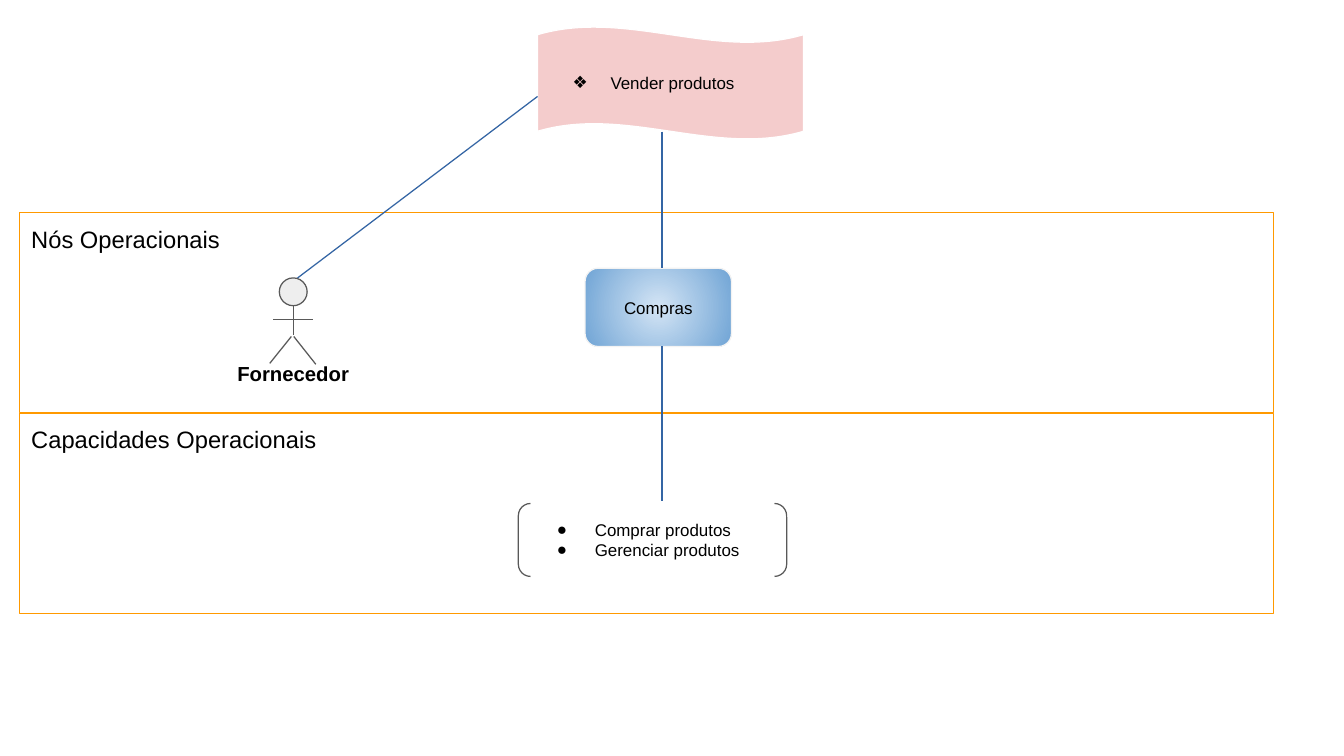
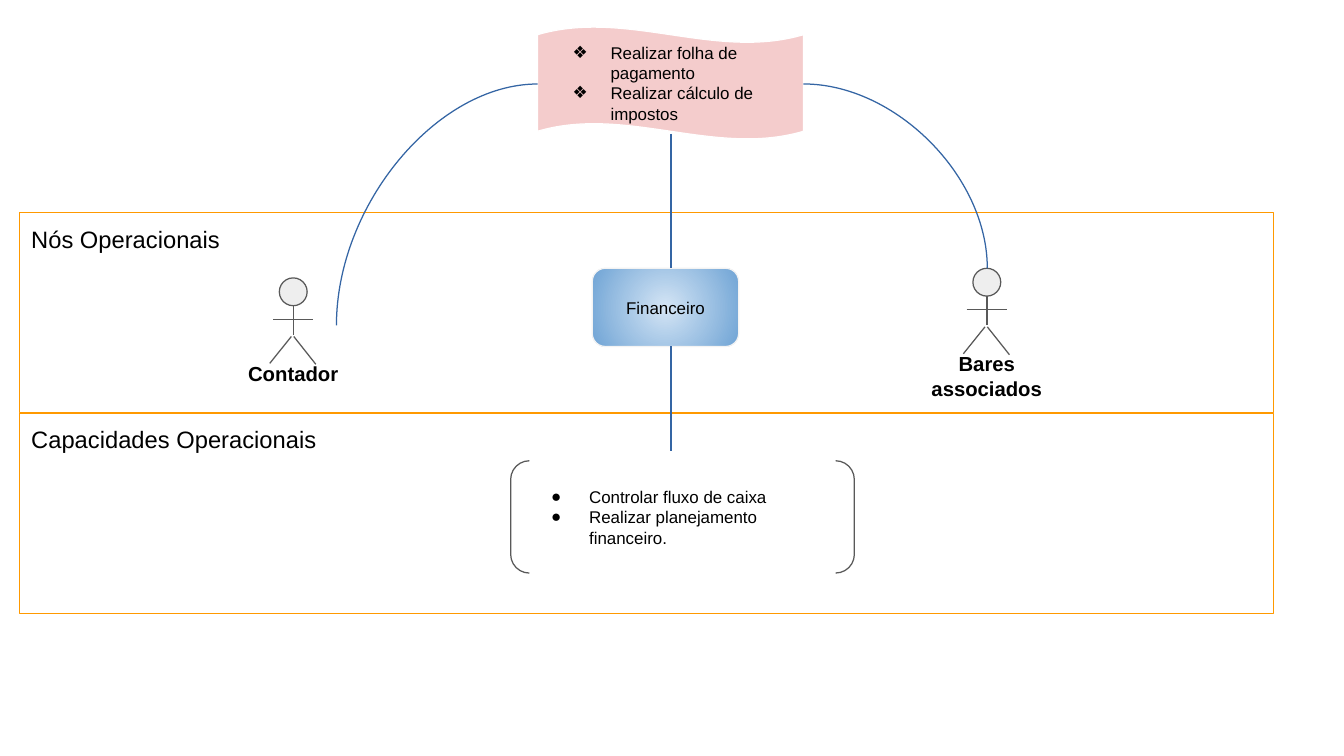
from lxml.etree import SubElement
from pptx import Presentation
from pptx.dml.color import RGBColor
from pptx.enum.shapes import MSO_CONNECTOR, MSO_SHAPE
from pptx.enum.text import MSO_ANCHOR, PP_ALIGN
from pptx.oxml.ns import qn
from pptx.util import Cm, Pt

FONT = "Arial"
BLACK = "000000"
ORANGE = "FF9900"
PINK = "F4CCCC"
WHITE = "FFFFFF"
GREY = "595959"
LIGHT_GREY = "EEEEEE"
NODE_EDGE = "F3F3F3"
NODE_CENTRE = "D4E5F5"
NODE_RIM = "70A4D5"
BLUE = "3465A4"

LANES = ["Nós Operacionais", "Capacidades Operacionais"]
LANE_TOP, LANE_PITCH = 4.43, 4.18
NODE_TOP, NODE_W, NODE_H = 5.59, 3.05, 1.63

# Stick figure, measured from the top left of the head
HEAD = 0.58
LIMBS = [
    (0.29, 0.58, 0.29, 1.19),
    (-0.13, 0.86, 0.71, 0.86),
    (0.25, 1.22, -0.2, 1.78),
    (0.3, 1.22, 0.76, 1.8),
]

SLIDES = [
    {
        "goals": ["Vender produtos"],
        "node": ("Compras", 12.19),
        "capabilities": ["Comprar produtos", "Gerenciar produtos"],
        "bracket": (10.8, 10.49, 5.59, 1.52),
        "actors": [("Fornecedor", 5.82, 5.79)],
        "links": [
            (6.2, 5.79, 11.2, 2.01),
            (13.79, 2.74, 13.79, 5.59),
            (13.79, 7.21, 13.79, 10.44),
        ],
        "curves": [],
    },
    {
        "goals": ["Realizar folha de pagamento", "Realizar cálculo de impostos"],
        "node": ("Financeiro", 12.34),
        "capabilities": ["Controlar fluxo de caixa", "Realizar planejamento financeiro."],
        "bracket": (10.64, 9.6, 7.16, 2.34),
        "actors": [("Contador", 5.82, 5.79), ("Bares associados", 20.27, 5.59)],
        "links": [(13.98, 2.79, 13.98, 5.59), (13.98, 7.21, 13.98, 9.4)],
        "curves": [
            ((6.59, 2.17, 11.62, 6.36), 270),
            ((16.74, 1.75, 20.57, 5.59), 0),
        ],
    },
]


def add_box(shapes, kind, box, lines=(), fill=None, line=None, size=10, bold=False,
            align=PP_ALIGN.LEFT, anchor=MSO_ANCHOR.MIDDLE, bullet=None):
    """Add a preset shape, or a text box if kind is None, with its text."""
    box = [Cm(v) for v in box]
    if kind is None:
        sp = shapes.add_textbox(*box)
    else:
        sp = shapes.add_shape(kind, *box)
        sp.shadow.inherit = False
        sp.line.color.rgb = RGBColor.from_string(line)
        sp.line.width = Pt(0.75)
        if fill:
            sp.fill.solid()
            sp.fill.fore_color.rgb = RGBColor.from_string(fill)
        else:
            sp.fill.background()
    tf = sp.text_frame
    tf.word_wrap = True
    tf.vertical_anchor = anchor
    tf.margin_left = tf.margin_top = tf.margin_right = tf.margin_bottom = Cm(0.25)
    for i, text in enumerate(lines):
        p = tf.paragraphs[0] if i == 0 else tf.add_paragraph()
        p.alignment = align
        r = p.add_run()
        r.text = text
        r.font.name = FONT
        r.font.size = Pt(size)
        r.font.bold = bold
        r.font.color.rgb = RGBColor.from_string(BLACK)
        if bullet:
            pPr = p._p.get_or_add_pPr()
            pPr.set("marL", str(Cm(1.27)))
            pPr.set("indent", str(Cm(-0.79)))
            SubElement(SubElement(pPr, qn("a:buClr")), qn("a:srgbClr"), val=BLACK)
            SubElement(pPr, qn("a:buFont"), typeface=FONT)
            SubElement(pPr, qn("a:buChar"), char=bullet)
    return sp


def add_line(shapes, ends, color, kind=MSO_CONNECTOR.STRAIGHT):
    cxn = shapes.add_connector(kind, *[Cm(v) for v in ends])
    cxn.line.color.rgb = RGBColor.from_string(color)
    cxn.line.width = Pt(0.75)
    SubElement(cxn.element.spPr, qn("a:effectLst"))
    return cxn


prs = Presentation()
prs.slide_width, prs.slide_height = Cm(28), Cm(15.75)

for content in SLIDES:
    s = prs.slides.add_slide(prs.slide_layouts[6])

    for i, title in enumerate(LANES):
        add_box(s.shapes, MSO_SHAPE.RECTANGLE, (0.4, LANE_TOP + i * LANE_PITCH, 26.14, 4.17),
                [title], line=ORANGE, size=14, anchor=MSO_ANCHOR.TOP)

    banner = add_box(s.shapes, MSO_SHAPE.WAVE, (11.2, 0.56, 5.54, 2.34), content["goals"],
                     fill=PINK, line=WHITE, bullet="❖")
    banner.adjustments[0] = 0.07

    add_box(s.shapes, MSO_SHAPE.DOUBLE_BRACKET, content["bracket"], content["capabilities"],
            line=GREY, bullet="●")

    name, left = content["node"]
    node = add_box(s.shapes, MSO_SHAPE.ROUNDED_RECTANGLE, (left, NODE_TOP, NODE_W, NODE_H),
                   [name], line=NODE_EDGE, align=PP_ALIGN.CENTER)
    node.fill.gradient()
    for stop, color in zip(node.fill.gradient_stops, (NODE_CENTRE, NODE_RIM)):
        stop.color.rgb = RGBColor.from_string(color)
    grad = node.element.spPr.find(qn("a:gradFill"))
    grad.remove(grad.find(qn("a:lin")))
    radial = SubElement(grad, qn("a:path"), path="circle")
    SubElement(radial, qn("a:fillToRect"), l="50000", t="50000", r="50000", b="50000")

    for name, x, y in content["actors"]:
        actor = s.shapes.add_group_shape().shapes
        add_box(actor, MSO_SHAPE.FLOWCHART_CONNECTOR, (x, y, HEAD, HEAD),
                fill=LIGHT_GREY, line=GREY)
        for x1, y1, x2, y2 in LIMBS:
            add_line(actor, (x + x1, y + y1, x + x2, y + y2), GREY)
        add_box(actor, None, (x - 1.27, y + 1.48, 3.12, 1.04), [name], size=12, bold=True,
                align=PP_ALIGN.CENTER, anchor=MSO_ANCHOR.TOP)

    for ends in content["links"]:
        add_line(s.shapes, ends, BLUE)

    for ends, angle in content["curves"]:
        spPr = add_line(s.shapes, ends, BLUE, MSO_CONNECTOR.CURVE).element.spPr
        spPr.find(qn("a:prstGeom")).set("prst", "curvedConnector2")
        spPr.find(qn("a:xfrm")).set("rot", str(angle * 60000))

prs.save("out.pptx")
